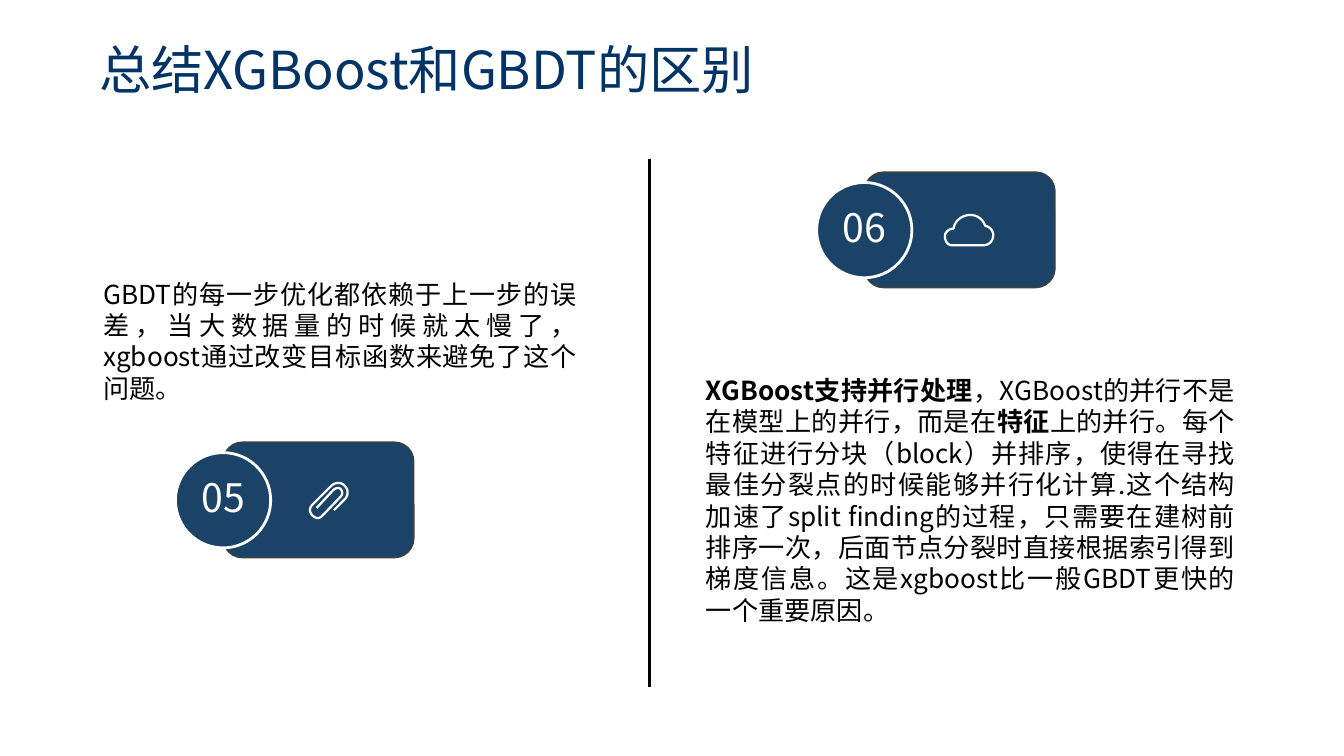
from pptx import Presentation
from pptx.dml.color import RGBColor
from pptx.enum.shapes import MSO_CONNECTOR, MSO_SHAPE
from pptx.enum.text import MSO_ANCHOR, MSO_AUTO_SIZE, PP_ALIGN
from pptx.oxml.ns import qn
from pptx.util import Pt
from lxml.etree import SubElement

FONT = "Noto Sans CJK SC"
NAVY, WHITE, BLACK = "1B4367", "FFFFFF", "000000"
hue = RGBColor.from_string


def write(shape, *runs, size=14, color=BLACK, align=PP_ALIGN.JUSTIFY, lead=1.0,
          anchor=MSO_ANCHOR.TOP, inset=(7.2, 3.6), wrap=True, fit=False):
    """Fill a shape with one paragraph; each run is (text, bold)."""
    frame = shape.text_frame
    frame.word_wrap = wrap
    frame.vertical_anchor = anchor
    frame.auto_size = MSO_AUTO_SIZE.SHAPE_TO_FIT_TEXT if fit else MSO_AUTO_SIZE.NONE
    frame.margin_left = frame.margin_right = Pt(inset[0])
    frame.margin_top = frame.margin_bottom = Pt(inset[1])
    para = frame.paragraphs[0]
    para.alignment, para.line_spacing = align, lead
    for text, bold in runs:
        run = para.add_run()
        run.text = text
        font = run.font
        font.name, font.size, font.bold = FONT, Pt(size), bold
        font.color.rgb = hue(color)
        SubElement(font._element, qn("a:ea"), typeface=FONT)


def style(shape, fill, line, width):
    """Set fill and line; a fill of None leaves the shape open."""
    shape.shadow.inherit = False
    if fill:
        shape.fill.solid()
        shape.fill.fore_color.rgb = hue(fill)
    else:
        shape.fill.background()
    shape.line.color.rgb = hue(line)
    shape.line.width = Pt(width)


deck = Presentation()
deck.slide_width, deck.slide_height = Pt(720), Pt(405)
slide = deck.slides.add_slide(deck.slide_layouts[6])
shapes = slide.shapes

# Icon outlines in points: a pair is a line end, six numbers a cubic curve
clip = [(14, 15.6), (19.8, 9.7), (21.6, 7.9, 22, 4.7, 19.8, 2.5),
        (17.6, 0.4, 15.1, 0.4, 12.6, 2.5), (2.5, 12.6),
        (0.7, 14.4, 0.7, 16.6, 2.5, 18.4), (4.3, 20.2, 6.5, 20.2, 7.9, 18.4),
        (17.6, 8.3), (18.7, 7.2, 18.7, 5.4, 17.6, 4.3),
        (16.6, 3.2, 15.1, 3.6, 13.7, 4.7), (4.7, 14.4)]
cloud = [(4.3, 16.9), (21.6, 16.9), (24.5, 16.9, 26.6, 14.4, 26.6, 11.5),
         (26.6, 9, 24.8, 7, 22.3, 6.5), (21.2, 3, 18, 0.7, 14.4, 0.7),
         (9.7, 0.7, 5.8, 4, 5.4, 8), (2.9, 8, 0.7, 10, 0.7, 12.2),
         (0.7, 14.8, 2.5, 16.9, 4.3, 16.9)]

# Numbered cards: label, card corner, icon, icon offset
cards = [("05", 119.5, 236.9, clip, 45.4, 20.9, False),
         ("06", 463, 92.2, cloud, 42.5, 22.3, True)]
STEPS = 10
for label, x, y, icon, dx, dy, close in cards:
    card = shapes.add_shape(MSO_SHAPE.ROUNDED_RECTANGLE, Pt(x), Pt(y), Pt(102.2), Pt(61.9))
    style(card, NAVY, "404040", 0.75)
    disc = shapes.add_shape(MSO_SHAPE.OVAL, Pt(x - 25.5), Pt(y + 5.6), Pt(51), Pt(51))
    style(disc, NAVY, WHITE, 1.5)
    write(disc, (label, False), size=21, color=WHITE, align=PP_ALIGN.CENTER,
          lead=0.9, anchor=MSO_ANCHOR.MIDDLE, inset=(0, 0), wrap=False)

    # Curves are cut into short lines
    dots = [icon[0]]
    for part in icon[1:]:
        if len(part) == 2:
            dots.append(part)
            continue
        ends = [dots[-1], part[:2], part[2:4], part[4:]]
        for step in range(1, STEPS + 1):
            t = step / STEPS
            u = 1 - t
            mix = (u**3, 3 * u * u * t, 3 * u * t * t, t**3)
            dots.append(tuple(sum(m * e[i] for m, e in zip(mix, ends)) for i in (0, 1)))
    dots = [(Pt(x + dx + a), Pt(y + dy + b)) for a, b in dots]
    pen = shapes.build_freeform(*dots[0])
    pen.add_line_segments(dots[1:], close=close)
    style(pen.convert_to_shape(), None, WHITE, 1.2)

# Right text
right = shapes.add_textbox(Pt(373), Pt(198), Pt(293.8), Pt(141))
write(right, ("XGBoost支持并行处理", True),
      ("，XGBoost的并行不是在模型上的并行，而是在", False),
      ("特征", True),
      ("上的并行。每个特征进行分块（block）并排序，使得在寻找最佳分裂点的时候能够并行化计算."
       "这个结构加速了split finding的过程，只需要在建树前排序一次，后面节点分裂时直接根据索引"
       "得到梯度信息。这是xgboost比一般GBDT更快的一个重要原因。", False),
      inset=(5.2, 2.6), fit=True)

# Title
title = shapes.add_textbox(Pt(46), Pt(20.2), Pt(620.6), Pt(78.5))
write(title, ("总结XGBoost和GBDT的区别", False), size=28, color="003366",
      align=PP_ALIGN.LEFT, lead=0.9)

# Divider
rule = shapes.add_connector(MSO_CONNECTOR.STRAIGHT, Pt(347.8), Pt(85), Pt(347.8), Pt(368))
rule.line.color.rgb = hue(BLACK)
rule.line.width = Pt(1.5)
SubElement(rule._element.spPr, qn("a:effectLst"))

# Left text
left = shapes.add_textbox(Pt(48.2), Pt(145.4), Pt(267.8), Pt(74.9))
write(left, ("GBDT的每一步优化都依赖于上一步的误差，当大数据量的时候就太慢了，"
             "xgboost通过改变目标函数来避免了这个问题。", False), fit=True)

deck.save("out.pptx")
